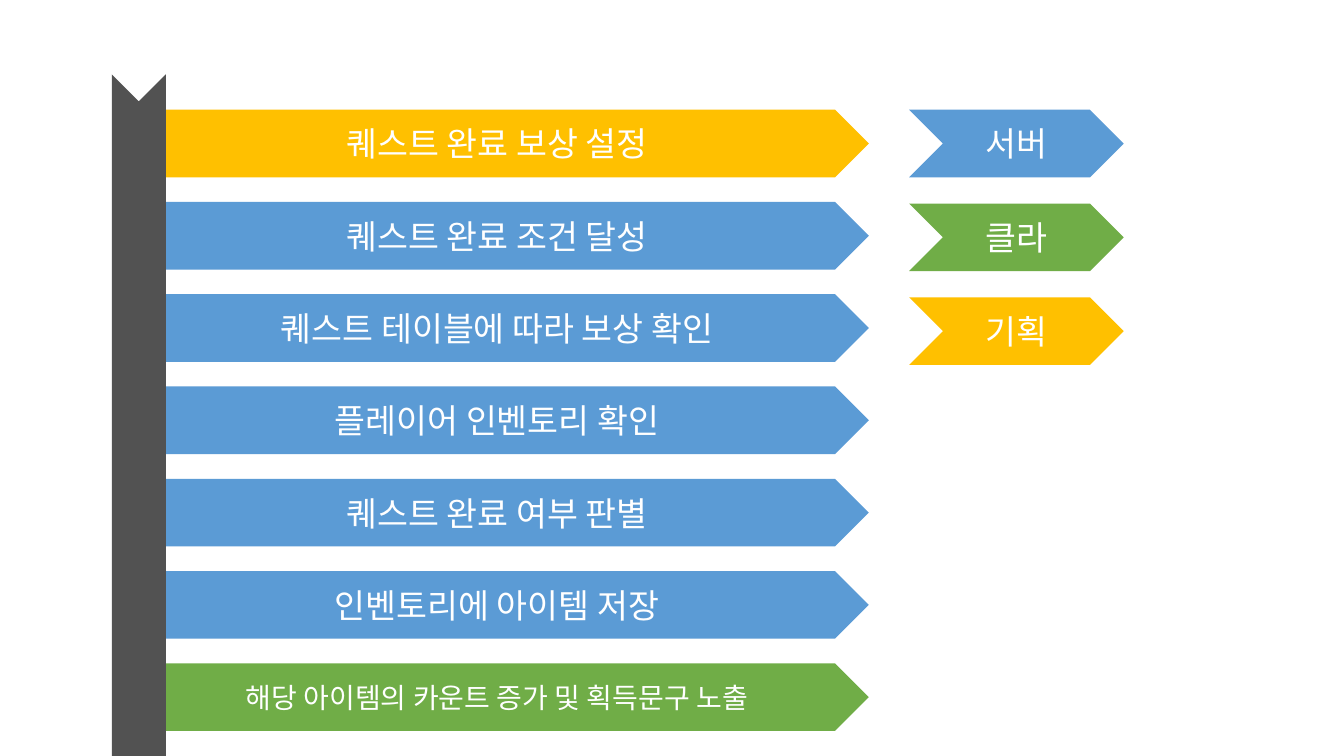
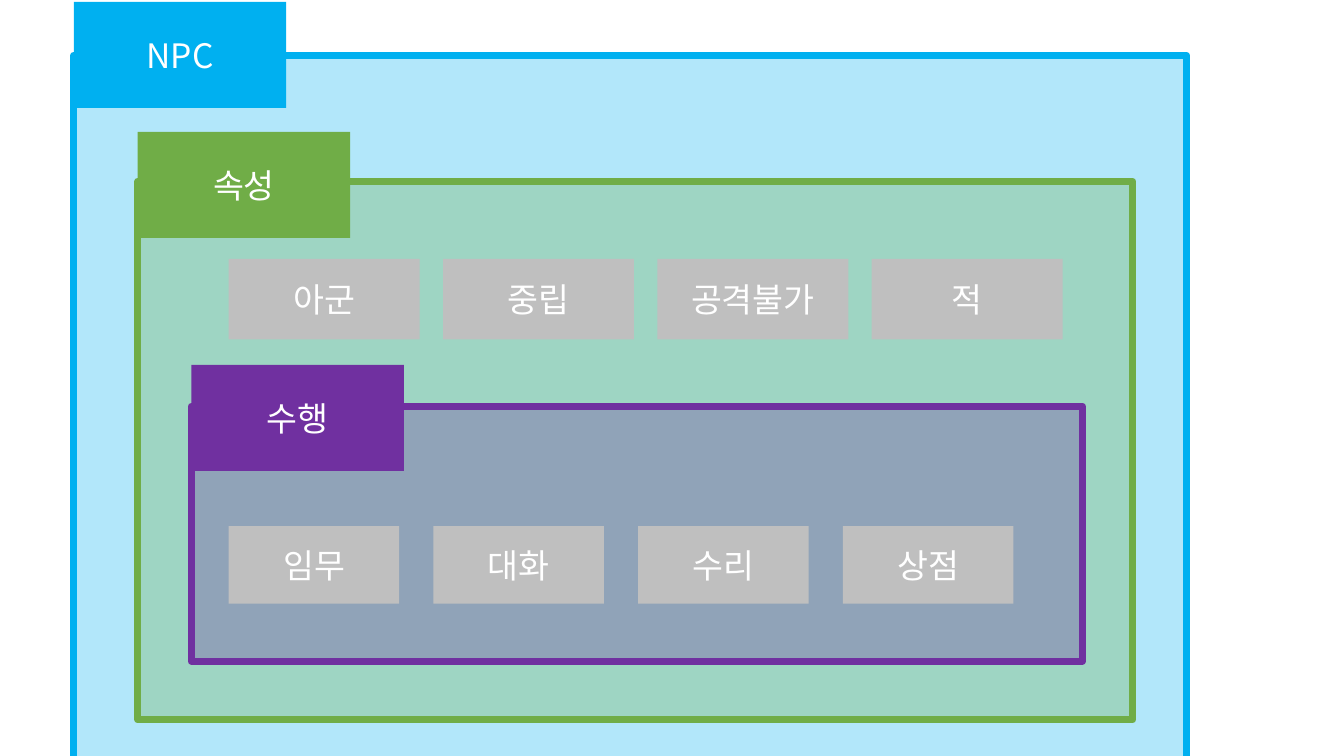
from lxml.etree import SubElement
from pptx import Presentation
from pptx.dml.color import RGBColor
from pptx.enum.shapes import MSO_SHAPE as Preset
from pptx.enum.text import MSO_ANCHOR as Anchor, PP_ALIGN as Align
from pptx.oxml.ns import qn
from pptx.util import Pt

FONT = "Noto Sans CJK KR"
COLORS = {
    "server": "5B9BD5", "client": "70AD47", "planning": "FFC000",
    "timeline": "525252", "npc": "00B0F0", "attribute": "70AD47",
    "action": "7030A0", "option": "BFBFBF", "text": "FFFFFF",
}

STEPS = [
    ("퀘스트 완료 보상 설정", "planning", 24),
    ("퀘스트 완료 조건 달성", "server", 24),
    ("퀘스트 테이블에 따라 보상 확인", "server", 24),
    ("플레이어 인벤토리 확인", "server", 24),
    ("퀘스트 완료 여부 판별", "server", 24),
    ("인벤토리에 아이템 저장", "server", 24),
    ("해당 아이템의 카운트 증가 및 획득문구 노출", "client", 20),
]
ROLES = [("서버", "server", 24), ("클라", "client", 24), ("기획", "planning", 24)]
CHEVRON_COLUMNS = [
    {"items": STEPS, "left": 89.3, "width": 531.3, "pitch": 65.9},
    {"items": ROLES, "left": 649.4, "width": 153.3, "pitch": 67},
]
CHEVRON_TOP, CHEVRON_HEIGHT = 78.4, 48.3
TIMELINE_BOX = (-167.6, 281.4, 533.5, 77)

GROUPS = [
    {"label": "NPC", "color": "npc", "frame": (52.7, 39.6, 795, 520),
     "tab_top": 1.3, "options": []},
    {"label": "속성", "color": "attribute", "frame": (98.4, 129.6, 710.8, 384.6),
     "tab_top": 94.2, "options": ["아군", "중립", "공격불가", "적"],
     "option_top": 185, "option_size": (136.4, 57.4), "pitch": 153.1},
    {"label": "수행", "color": "action", "frame": (136.7, 290.2, 636.5, 182.1),
     "tab_top": 260.6, "options": ["임무", "대화", "수리", "상점"],
     "option_top": 375.8, "option_size": (121.8, 55.5), "pitch": 146.2},
]
TAB_SIZE = (151.8, 75.8)
OPTION_LEFT = 163.4
FRAME_ALPHA, FRAME_LINE = 30, 5


def rgb(color):
    return RGBColor.from_string(COLORS[color])


def add_block(slide, preset, box, color, label="", size=24):
    block = slide.shapes.add_shape(preset, *map(Pt, box))
    block.shadow.inherit = False
    block.fill.solid()
    block.fill.fore_color.rgb = rgb(color)
    block.line.fill.background()
    if label:
        block.text_frame.vertical_anchor = Anchor.MIDDLE
        paragraph = block.text_frame.paragraphs[0]
        paragraph.alignment = Align.CENTER
        run = paragraph.add_run()
        run.text = label
        for key, value in {"name": FONT, "size": Pt(size)}.items():
            setattr(run.font, key, value)
        run.font.color.rgb = rgb("text")
        SubElement(run.font._element, qn("a:ea"), typeface=FONT)
    return block


def add_frame(slide, box, color):
    frame = add_block(slide, Preset.RECTANGLE, box, color)
    fill_color = frame._element.spPr.find(qn("a:solidFill")).find(qn("a:srgbClr"))
    SubElement(fill_color, qn("a:alpha"), val=str(FRAME_ALPHA * 1000))
    frame.line.color.rgb = rgb(color)
    frame.line.width = Pt(FRAME_LINE)


def build_reward_flow(slide):
    for column in CHEVRON_COLUMNS:
        for row, (label, role, size) in enumerate(column["items"]):
            top = CHEVRON_TOP + row * column["pitch"]
            box = (column["left"], top, column["width"], CHEVRON_HEIGHT)
            add_block(slide, Preset.CHEVRON, box, role, label, size)
    timeline = add_block(slide, Preset.NOTCHED_RIGHT_ARROW, TIMELINE_BOX, "timeline")
    timeline.rotation = 90


def build_npc_structure(slide):
    for group in GROUPS:
        add_frame(slide, group["frame"], group["color"])
        tab_box = (group["frame"][0], group["tab_top"], *TAB_SIZE)
        add_block(slide, Preset.RECTANGLE, tab_box, group["color"], group["label"])
        for column, option in enumerate(group["options"]):
            left = OPTION_LEFT + column * group["pitch"]
            box = (left, group["option_top"], *group["option_size"])
            add_block(slide, Preset.RECTANGLE, box, "option", option)


def main():
    deck = Presentation()
    deck.slide_width, deck.slide_height = Pt(960), Pt(540)
    blank = deck.slide_layouts[6]
    for build in (build_reward_flow, build_npc_structure):
        build(deck.slides.add_slide(blank))
    deck.save("out.pptx")


if __name__ == "__main__":
    main()
